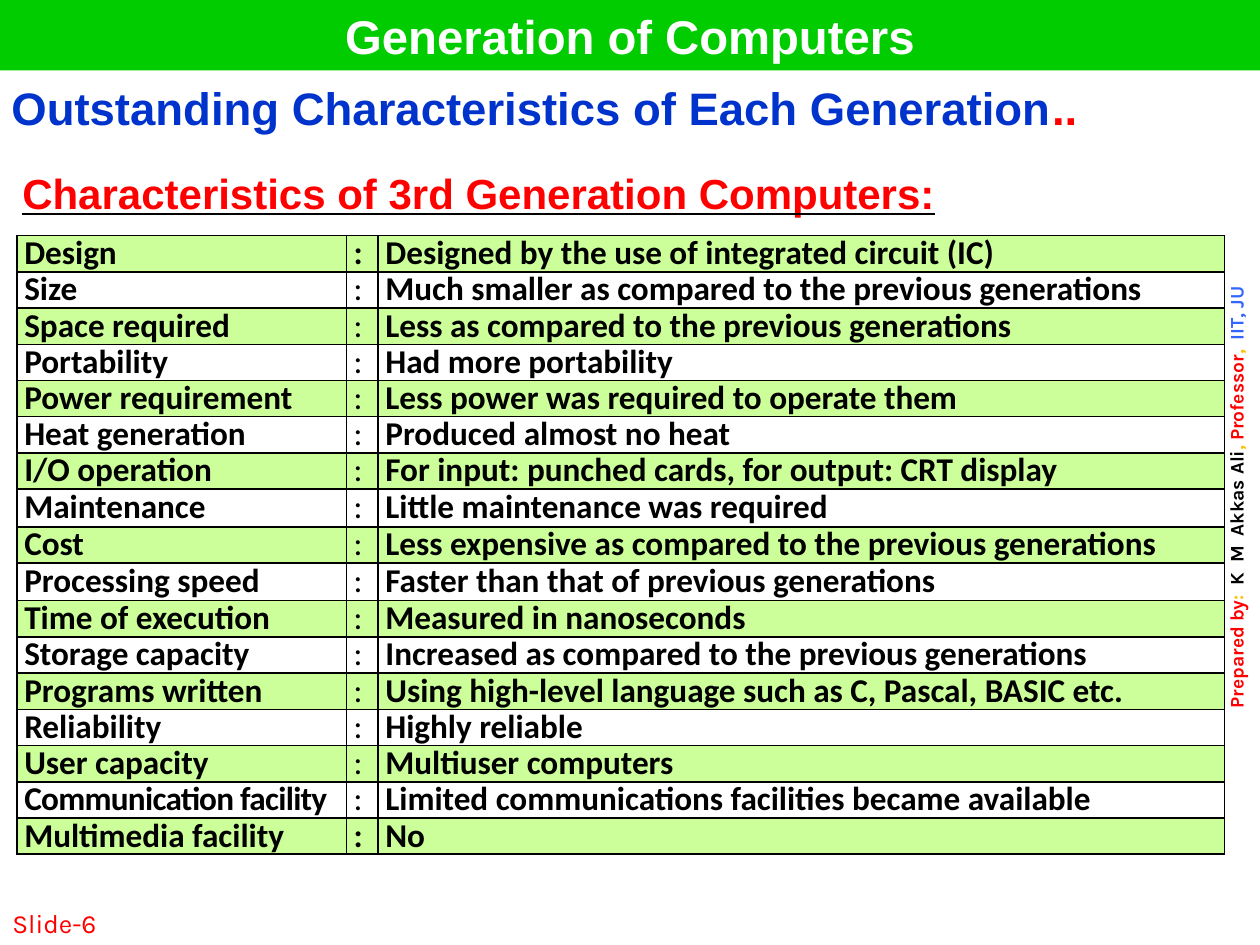
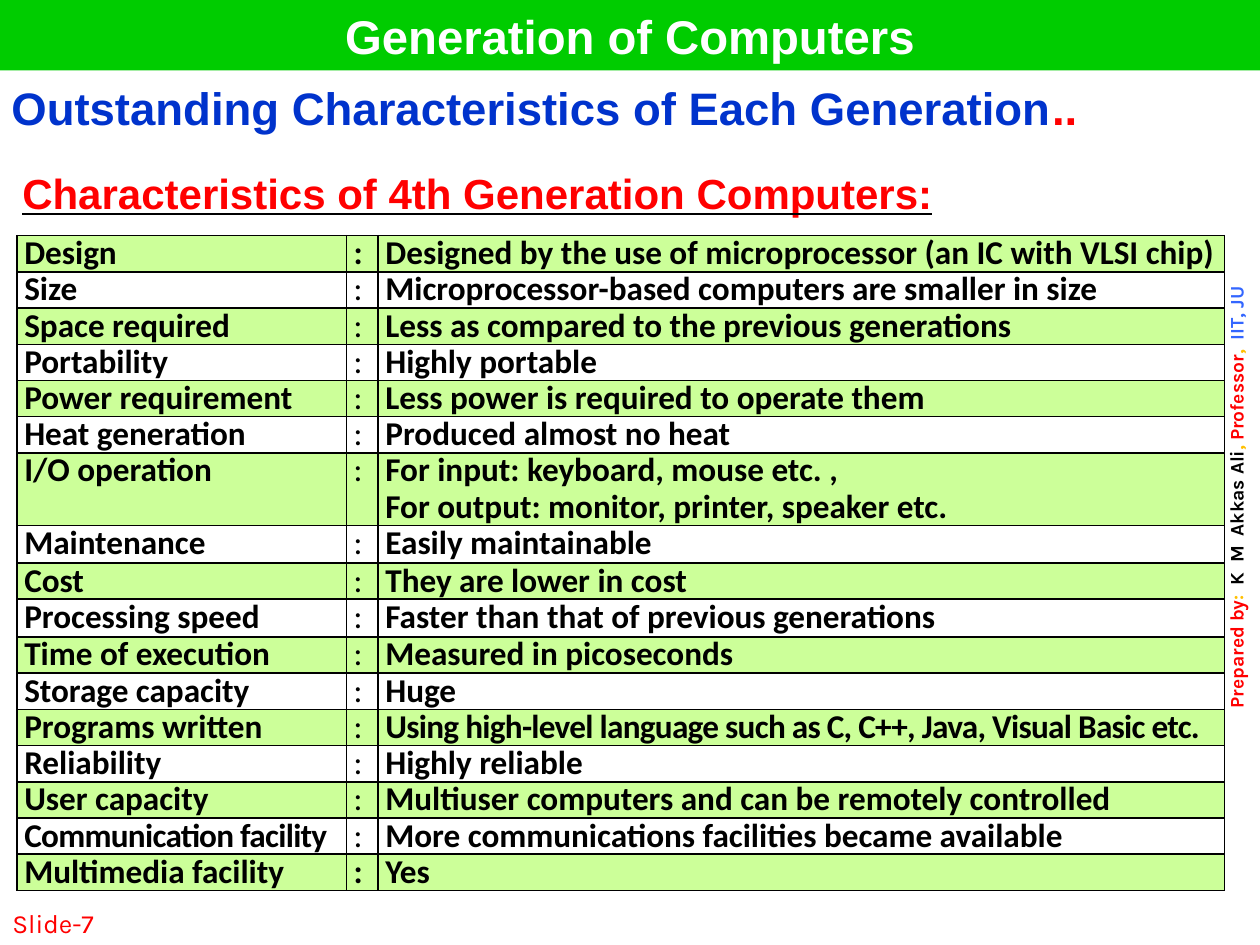
from lxml.etree import SubElement
from pptx import Presentation
from pptx.dml.color import RGBColor
from pptx.enum.text import MSO_ANCHOR as ANCHOR, MSO_AUTO_SIZE as AUTO, PP_ALIGN as ALIGN
from pptx.oxml import parse_xml
from pptx.oxml.ns import nsdecls, qn
from pptx.util import Cm, Pt

BAND, WHITE, BLACK = "00CC00", "FFFFFF", "000000"
RED, BLUE, GOLD, SKY, LIME = "FF0000", "0033CC", "FFC000", "3366FF", "CCFF99"
NO_STYLE = "{2D5ABB26-0587-4C30-8999-92F81FD0307C}"


def rgb(value):
    return RGBColor.from_string(value)


def write(p, text, size=19, color=BLACK, font="Calibri", bold=True, align=None, spacing=0):
    r = p.add_run()
    r.text = text
    r.font.size = Pt(size)
    r.font.name = font
    r.font.bold = bold
    r.font.color.rgb = rgb(color)
    if spacing:
        r.font._element.set("spc", str(spacing))
    if align is not None:
        p.alignment = align
    return r


features = [
    "Design", "Size", "Space required", "Portability", "Power requirement",
    "Heat generation", "I/O operation", "Maintenance", "Cost", "Processing speed",
    "Time of execution", "Storage capacity", "Programs written", "Reliability",
    "User capacity", "Communication facility", "Multimedia facility",
]
generations = [
    (6, "3rd", [
        "Designed by the use of integrated circuit (IC)",
        "Much smaller as compared to the previous generations",
        "Less as compared to the previous generations",
        "Had more portability",
        "Less power was required to operate them",
        "Produced almost no heat",
        "For input: punched cards, for output: CRT display",
        "Little maintenance was required",
        "Less expensive as compared to the previous generations",
        "Faster than that of previous generations",
        "Measured in nanoseconds",
        "Increased as compared to the previous generations",
        "Using high-level language such as C, Pascal, BASIC etc.",
        "Highly reliable",
        "Multiuser computers",
        "Limited communications facilities became available",
        "No",
    ]),
    (7, "4th", [
        "Designed by the use of microprocessor (an IC with VLSI chip)",
        "Microprocessor-based computers are smaller in size",
        "Less as compared to the previous generations",
        "Highly portable",
        "Less power is required to operate them",
        "Produced almost no heat",
        "For input: keyboard, mouse etc. ,\nFor output: monitor, printer, speaker etc.",
        "Easily maintainable",
        "They are lower in cost",
        "Faster than that of previous generations",
        "Measured in picoseconds",
        "Huge",
        "Using high-level language such as C, C++, Java, Visual Basic etc.",
        "Highly reliable",
        "Multiuser computers and can be remotely controlled",
        "More communications facilities became available",
        "Yes",
    ]),
]
credit = [
    ("Prepared by", RED), (":  ", GOLD), ("K  M  Akkas Ali", BLACK), (", ", GOLD),
    ("Professor", RED), (",  ", GOLD), ("IIT, JU", SKY),
]
tall_rows = ("Maintenance", "Processing speed")
tight_texts = ("Communication facility", generations[1][2][12])

prs = Presentation()
prs.slide_width, prs.slide_height = Cm(25.4), Cm(19.05)

for number, ordinal, answers in generations:
    s = prs.slides.add_slide(prs.slide_layouts[5])

    title = s.shapes.title
    title.left, title.top, title.width, title.height = Cm(0), Cm(0), Cm(25.4), Cm(1.42)
    title.fill.solid()
    title.fill.fore_color.rgb = rgb(BAND)
    tf = title.text_frame
    tf.auto_size = AUTO.NONE
    tf.vertical_anchor = ANCHOR.MIDDLE
    write(tf.paragraphs[0], "Generation of Computers", size=27, color=WHITE,
          font="Arial", align=ALIGN.CENTER)

    tf = s.shapes.add_textbox(Cm(24.56), Cm(1.24), Cm(0.99), Cm(17.58)).text_frame
    tf.word_wrap = True
    tf._txBody.bodyPr.set("vert", "vert270")
    for text, color in credit:
        write(tf.paragraphs[0], text, size=11, color=color, font="Karla", align=ALIGN.CENTER)

    tf = s.shapes.add_textbox(Cm(0), Cm(17.78), Cm(5.28), Cm(1.27)).text_frame
    tf.word_wrap = True
    tf.vertical_anchor = ANCHOR.BOTTOM
    write(tf.paragraphs[0], f"Slide-{number}", size=15, color=RED, font="Karla", bold=False)

    grid = s.shapes.add_table(len(features), 3, Cm(0.34), Cm(4.75), Cm(24.34), Cm(12.4)).table
    heading = s.shapes.add_table(1, 1, Cm(0.05), Cm(1.7), Cm(24.92), Cm(1.09)).table
    for table in (grid, heading):
        table.first_row = table.horz_banding = False
        table._tbl.tblPr.find(qn("a:tableStyleId")).text = NO_STYLE

    cell = heading.cell(0, 0)
    cell.margin_left = cell.margin_right = Cm(0.18)
    cell.margin_top = cell.margin_bottom = 0
    p = cell.text_frame.paragraphs[0]
    write(p, "Outstanding Characteristics of Each Generation", size=26, color=BLUE,
          font="Arial", align=ALIGN.JUSTIFY)
    write(p, "..", size=26, color=RED, font="Arial")

    for column, width in zip(grid.columns, (6.64, 0.64, 17.06)):
        column.width = Cm(width)
    for i, (feature, answer) in enumerate(zip(features, answers)):
        lines = answer.count("\n") + 1
        grid.rows[i].height = Cm(0.76 if feature in tall_rows else 0.73 * lines)
        for j, text in enumerate((feature, ":", answer)):
            cell = grid.cell(i, j)
            cell.margin_left = cell.margin_right = Cm(0.15)
            cell.margin_top = cell.margin_bottom = 0
            tcPr = cell._tc.get_or_add_tcPr()
            for side in "LRTB":
                tcPr.append(parse_xml(
                    f'<a:ln{side} {nsdecls("a")} w="12700"><a:solidFill>'
                    f'<a:srgbClr val="{BLACK}"/></a:solidFill></a:ln{side}>'))
            if i % 2 == 0:
                cell.fill.solid()
                cell.fill.fore_color.rgb = rgb(LIME)
            else:
                cell.fill.background()
            bold = j != 1 or i in (0, len(features) - 1)
            tf = cell.text_frame
            for k, line in enumerate(text.split("\n")):
                p = tf.add_paragraph() if k else tf.paragraphs[0]
                p.line_spacing = 0.9
                write(p, line, bold=bold, align=ALIGN.JUSTIFY,
                      spacing=-40 if text in tight_texts else 0)

    tf = s.shapes.add_textbox(Cm(0.2), Cm(3.25), Cm(23.29), Cm(1.47)).text_frame
    tf.word_wrap = True
    p = tf.paragraphs[0]
    p.space_before = Pt(3)
    r = write(p, f"Characteristics of {ordinal} Generation Computers:", size=24, color=RED,
              font="Arial", align=ALIGN.JUSTIFY)
    r.font.underline = True
    rPr = r.font._element
    line_fill = SubElement(rPr, qn("a:uFill"))
    SubElement(SubElement(line_fill, qn("a:solidFill")), qn("a:srgbClr"), val=BLACK)
    rPr.find(qn("a:solidFill")).addnext(line_fill)

prs.save("out.pptx")
